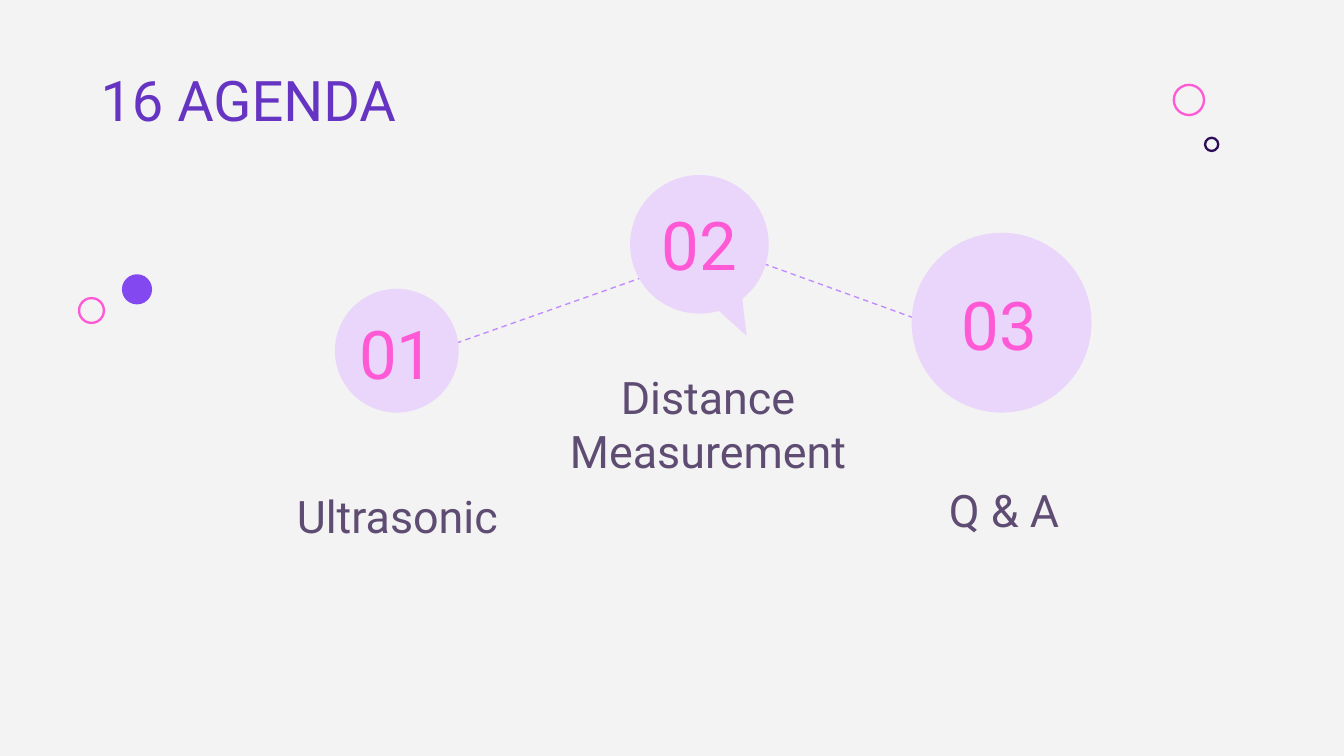
"""Build an agenda slide with three linked, numbered steps."""
from dataclasses import dataclass

from lxml import etree
from pptx import Presentation
from pptx.dml.color import RGBColor
from pptx.enum import dml, shapes, text
from pptx.oxml import ns
from pptx.util import Cm, Pt


@dataclass(frozen=True)
class Theme:
    """Colours, font and type sizes of the slide."""
    back: str = "F3F3F3"
    head: str = "6634C3"
    body: str = "5E4C72"
    pink: str = "FF59D6"
    dark: str = "300D59"
    dot: str = "8348F0"
    pale: str = "EAD5FB"
    link: str = "C08CFF"
    font: str = "Roboto"
    big: int = 36
    mid: int = 30
    small: int = 24


THEME = Theme()


def paint(fill, tone):
    """Give a fill one solid colour."""
    fill.solid()
    fill.fore_color.rgb = RGBColor.from_string(tone)


def write(shape, words, box, size, tone, align=text.PP_ALIGN.CENTER,
          anchor=text.MSO_ANCHOR.MIDDLE):
    """Place a text shape and write one formatted paragraph in it."""
    shape.left, shape.top, shape.width, shape.height = map(Cm, box)
    frame = shape.text_frame
    frame.text = words
    frame.word_wrap = True
    frame.auto_size = text.MSO_AUTO_SIZE.NONE
    frame.vertical_anchor = anchor
    frame.margin_left = frame.margin_right = Cm(0.25)
    frame.margin_top = frame.margin_bottom = Cm(0.25)
    para = frame.paragraphs[0]
    props = para._p.get_or_add_pPr()
    props.set("marL", "0")
    props.set("indent", "0")
    etree.SubElement(props, ns.qn("a:buNone"))
    para.alignment = align
    para.space_before = Pt(0)
    font = para.runs[0].font
    font.name, font.size, font.bold = THEME.font, Pt(size), False
    font.color.rgb = RGBColor.from_string(tone)


def disc(slide, x, y, span, tone, kind=shapes.MSO_SHAPE.OVAL):
    """Draw a filled round shape about a centre point."""
    shape = slide.shapes.add_shape(
        kind, Cm(x - span / 2), Cm(y - span / 2), Cm(span), Cm(span))
    shape.shadow.inherit = False
    paint(shape.fill, tone)
    shape.line.fill.background()
    return shape


def ring(slide, x, y, span, tone):
    """Draw an open circle about a centre point."""
    shape = disc(slide, x, y, span, tone)
    shape.fill.background()
    paint(shape.line.fill, tone)
    shape.line.width = Pt(1.25)


def link(slide, start, end):
    """Draw a thin dashed line between two points."""
    line = slide.shapes.add_connector(
        shapes.MSO_CONNECTOR.STRAIGHT, *map(Cm, start + end))
    paint(line.line.fill, THEME.link)
    line.line.width = Pt(0.75)
    line.line.dash_style = dml.MSO_LINE.DASH
    etree.SubElement(line._element.spPr, ns.qn("a:effectLst"))


def bubble(slide, x, y, span):
    """Draw a round speech bubble with its tip at the lower right."""
    shape = disc(slide, x, y, span, THEME.pale,
                 shapes.MSO_SHAPE.OVAL_CALLOUT)
    shape.adjustments[0] = 0.34
    shape.adjustments[1] = 0.66


def main():
    """Build and save the slide."""
    deck = Presentation()
    deck.slide_width, deck.slide_height = Cm(25.4), Cm(14.29)
    slide = deck.slides.add_slide(deck.slide_layouts[4])
    paint(slide.background.fill, THEME.back)

    title, *slots = slide.placeholders
    write(title, "16 AGENDA", (1.65, 0.99, 18.69, 1.8), THEME.mid, THEME.head,
          align=text.PP_ALIGN.LEFT, anchor=text.MSO_ANCHOR.TOP)
    spare = slots.pop()._element
    spare.getparent().remove(spare)

    ring(slide, 22.47, 1.89, 0.57, THEME.pink)
    ring(slide, 22.9, 2.73, 0.25, THEME.dark)
    disc(slide, 2.59, 5.47, 0.57, THEME.dot)
    ring(slide, 1.73, 5.87, 0.47, THEME.pink)

    link(slide, (13.23, 4.55), (18.77, 6.55))
    link(slide, (7.42, 6.91), (13.31, 4.83))
    disc(slide, 7.5, 6.63, 2.34, THEME.pale)
    bubble(slide, 13.22, 4.62, 2.62)
    disc(slide, 18.93, 6.1, 3.4, THEME.pale)

    steps = [
        ("Ultrasonic", (3.94, 8.15, 7.14, 2.36), (6.5, 5.87, 2.01, 1.6)),
        ("Distance Measurement", (9.53, 7.47, 7.7, 1.8),
         (11.38, 3.81, 3.68, 1.6)),
        ("Q & A", (15.04, 7.95, 7.87, 2.44), (17.22, 5.31, 3.35, 1.6)),
    ]
    for num, (slot, (name, place, spot)) in enumerate(zip(slots, steps), 1):
        write(slot, name, place, THEME.small, THEME.body,
              anchor=text.MSO_ANCHOR.BOTTOM)
        label = slide.shapes.add_textbox(*map(Cm, spot))
        write(label, f"{num:02}", spot, THEME.big, THEME.pink)

    deck.save("out.pptx")


if __name__ == "__main__":
    main()
